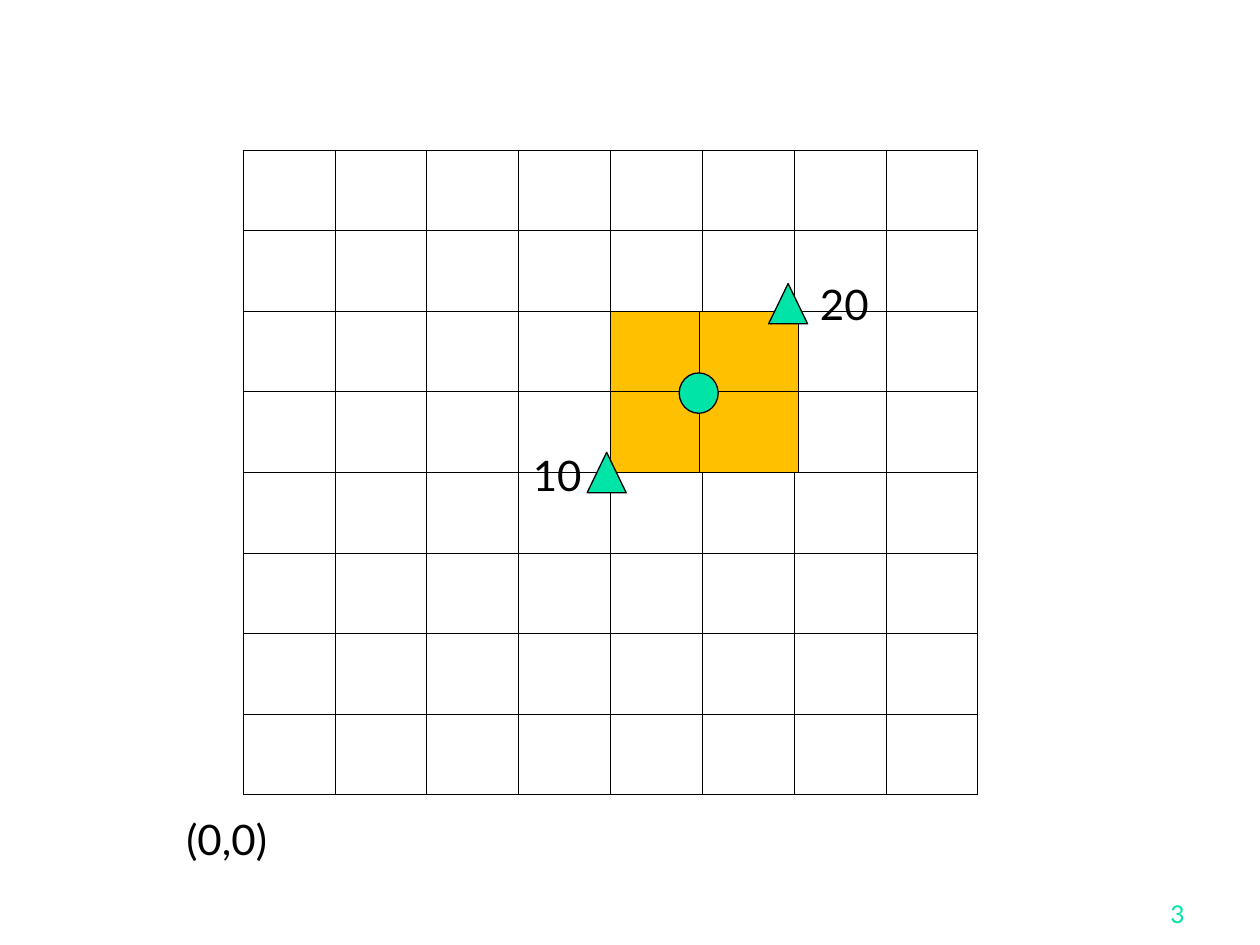
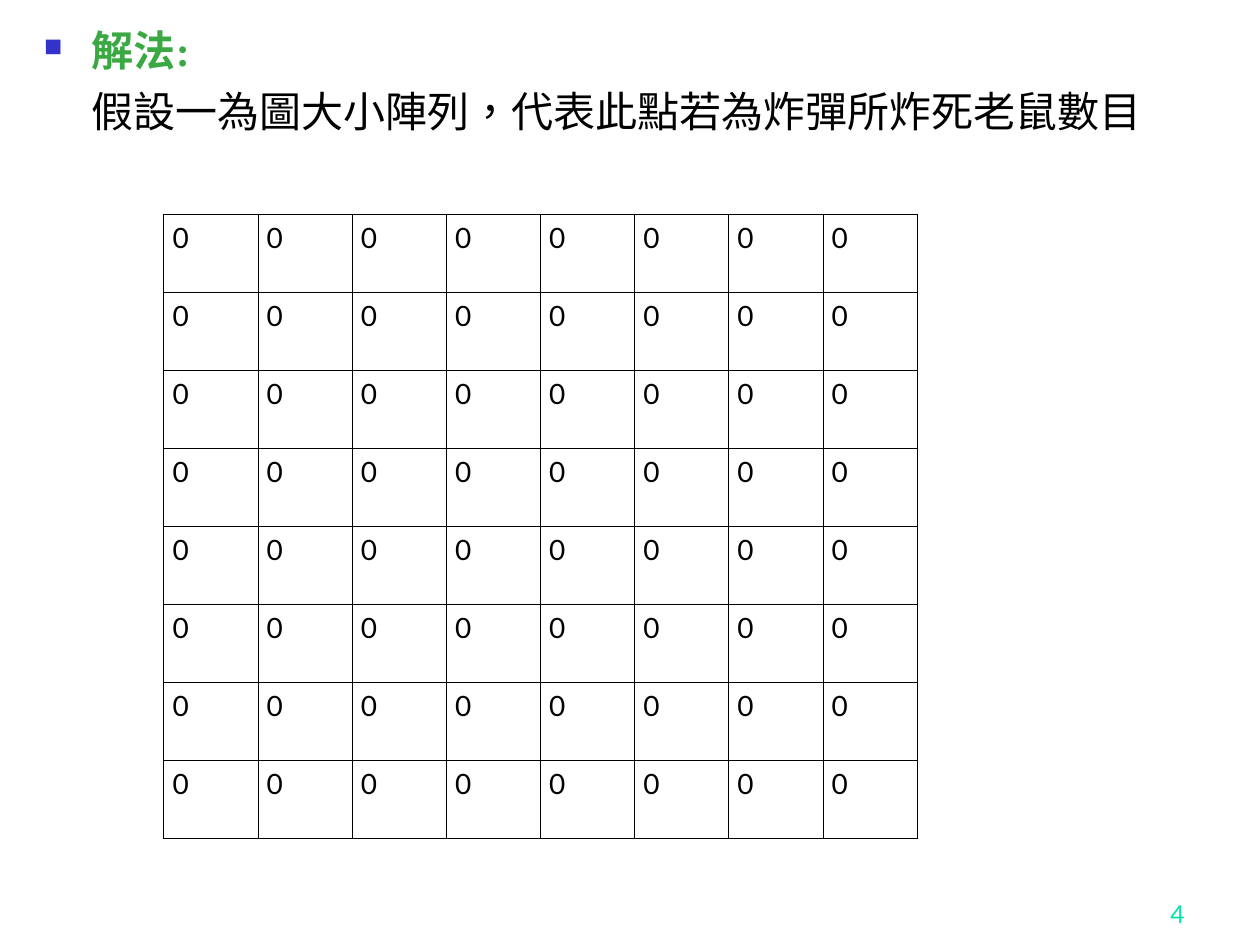
from typing import NamedTuple

from lxml import etree
from pptx import Presentation
from pptx.dml.color import RGBColor
from pptx.enum.lang import MSO_LANGUAGE_ID
from pptx.enum.shapes import MSO_SHAPE
from pptx.enum.text import MSO_ANCHOR, PP_ALIGN
from pptx.oxml.ns import qn
from pptx.util import Inches, Pt

TRIANGLE = MSO_SHAPE.ISOSCELES_TRIANGLE
OVAL = MSO_SHAPE.OVAL
LEFT, RIGHT = PP_ALIGN.LEFT, PP_ALIGN.RIGHT
TOP, BOTTOM = MSO_ANCHOR.TOP, MSO_ANCHOR.BOTTOM
CHINESE = MSO_LANGUAGE_ID.TRADITIONAL_CHINESE

BLACK, WHITE = "000000", "FFFFFF"
MINT, GOLD, GREEN, BLUE = "00E4A8", "FFC000", "3BA943", "3333CC"
SANS, SERIF = "Lato", "Times New Roman"
BORDER = Pt(0.45)


class Label(NamedTuple):
    text: str
    left: float
    top: float
    width: float
    size: int = 24
    color: str = BLACK
    align: PP_ALIGN = LEFT
    anchor: MSO_ANCHOR = TOP


class Mark(NamedTuple):
    kind: MSO_SHAPE
    left: float
    top: float


class Grid(NamedTuple):
    left: float
    top: float
    cols: list[float]
    rows: list[float]
    fill: str = WHITE
    text: str = ""


FIELD = Grid(1.93, 1.19, [5.83 / 8] * 8, [0.64] * 8)
BLAST = Grid(4.84, 2.47, [0.71, 0.79], [0.64] * 2, GOLD)
COUNTS = Grid(1.3, 1.7, [5.98 / 8] * 8, [0.62] * 8, text="0")

LABELS = [
    Label("(0,0)", 1.38, 6.41, 1.81),
    Label("20", 6.41, 2.16, 0.87),
    Label("10", 4.13, 3.52, 0.79),
]
MARKS = [
    Mark(TRIANGLE, 4.66, 3.59),
    Mark(OVAL, 5.39, 2.96),
    Mark(TRIANGLE, 6.1, 2.25),
]


def rgb(code: str) -> RGBColor:
    return RGBColor.from_string(code)


def set_font(para, size: int, color: str, name: str = SANS, bold: bool = False) -> None:
    font = para.font
    font.size, font.name, font.bold = Pt(size), name, bold
    font.color.rgb = rgb(color)


def add_box(slide, left: float, top: float, width: float, height: float):
    box = slide.shapes.add_textbox(
        Inches(left), Inches(top), Inches(width), Inches(height))
    frame = box.text_frame
    frame.word_wrap = True
    return frame


def add_label(slide, item: Label) -> None:
    frame = add_box(slide, item.left, item.top, item.width, 0.5)
    frame.vertical_anchor = item.anchor
    para = frame.paragraphs[0]
    para.text, para.alignment = item.text, item.align
    set_font(para, item.size, item.color)


def add_number(slide, number: int) -> None:
    add_label(slide, Label(str(number), 7.42, 6.92, 2.08, 14, MINT, RIGHT, BOTTOM))


def add_mark(slide, item: Mark) -> None:
    shape = slide.shapes.add_shape(
        item.kind, Inches(item.left), Inches(item.top), Inches(0.31), Inches(0.32))
    shape.shadow.inherit = False
    shape.fill.solid()
    shape.fill.fore_color.rgb = rgb(MINT)
    shape.line.color.rgb = rgb(BLACK)
    shape.line.width = Pt(0.75)


def add_borders(cell) -> None:
    props = cell._tc.get_or_add_tcPr()
    for side in ("lnL", "lnR", "lnT", "lnB"):
        line = etree.SubElement(props, qn(f"a:{side}"), w=str(BORDER))
        fill = etree.SubElement(line, qn("a:solidFill"))
        etree.SubElement(fill, qn("a:srgbClr"), val=BLACK)


def add_grid(slide, grid: Grid) -> None:
    table = slide.shapes.add_table(
        len(grid.rows), len(grid.cols), Inches(grid.left), Inches(grid.top),
        Inches(sum(grid.cols)), Inches(sum(grid.rows))).table
    table.first_row = table.horz_banding = False
    for col, width in zip(table.columns, grid.cols):
        col.width = Inches(width)
    for row, height in zip(table.rows, grid.rows):
        row.height = Inches(height)
    for cell in table.iter_cells():
        cell.margin_left = cell.margin_right = Inches(0.07)
        add_borders(cell)
        cell.fill.solid()
        cell.fill.fore_color.rgb = rgb(grid.fill)
        para = cell.text_frame.paragraphs[0]
        para.text = grid.text
        set_font(para, 16, BLACK)


def add_bullet(para) -> None:
    props = para._p.get_or_add_pPr()
    props.set("indent", str(-Inches(0.38)))
    color = etree.SubElement(props, qn("a:buClr"))
    etree.SubElement(color, qn("a:srgbClr"), val=BLUE)
    etree.SubElement(props, qn("a:buSzPct"), val="60000")
    etree.SubElement(props, qn("a:buChar"), char="■")


def add_answer(slide) -> None:
    frame = add_box(slide, 0.25, 0.19, 9.75, 6.97)
    head, body = frame.paragraphs[0], frame.add_paragraph()
    head.text = "解法:"
    body.text = "假設一為圖大小陣列，代表此點若為炸彈所炸死老鼠數目"
    add_bullet(head)
    head.line_spacing = 0.9
    body.space_before = Pt(6)
    for para, color, bold in ((head, GREEN, True), (body, BLACK, False)):
        para._p.get_or_add_pPr().set("marL", str(Inches(0.38)))
        set_font(para, 24, color, SERIF, bold)
        para.runs[0].font.language_id = CHINESE


def main() -> None:
    deck = Presentation()
    deck.slide_width, deck.slide_height = Inches(10), Inches(7.5)
    blank = deck.slide_layouts[6]

    # Blast area on the field
    slide = deck.slides.add_slide(blank)
    add_grid(slide, FIELD)
    add_number(slide, 3)
    add_grid(slide, BLAST)
    for mark in MARKS:
        add_mark(slide, mark)
    for label in LABELS:
        add_label(slide, label)

    # Array of counts, all zero at the start
    slide = deck.slides.add_slide(blank)
    add_answer(slide)
    add_number(slide, 4)
    add_grid(slide, COUNTS)

    deck.save("out.pptx")


if __name__ == "__main__":
    main()
